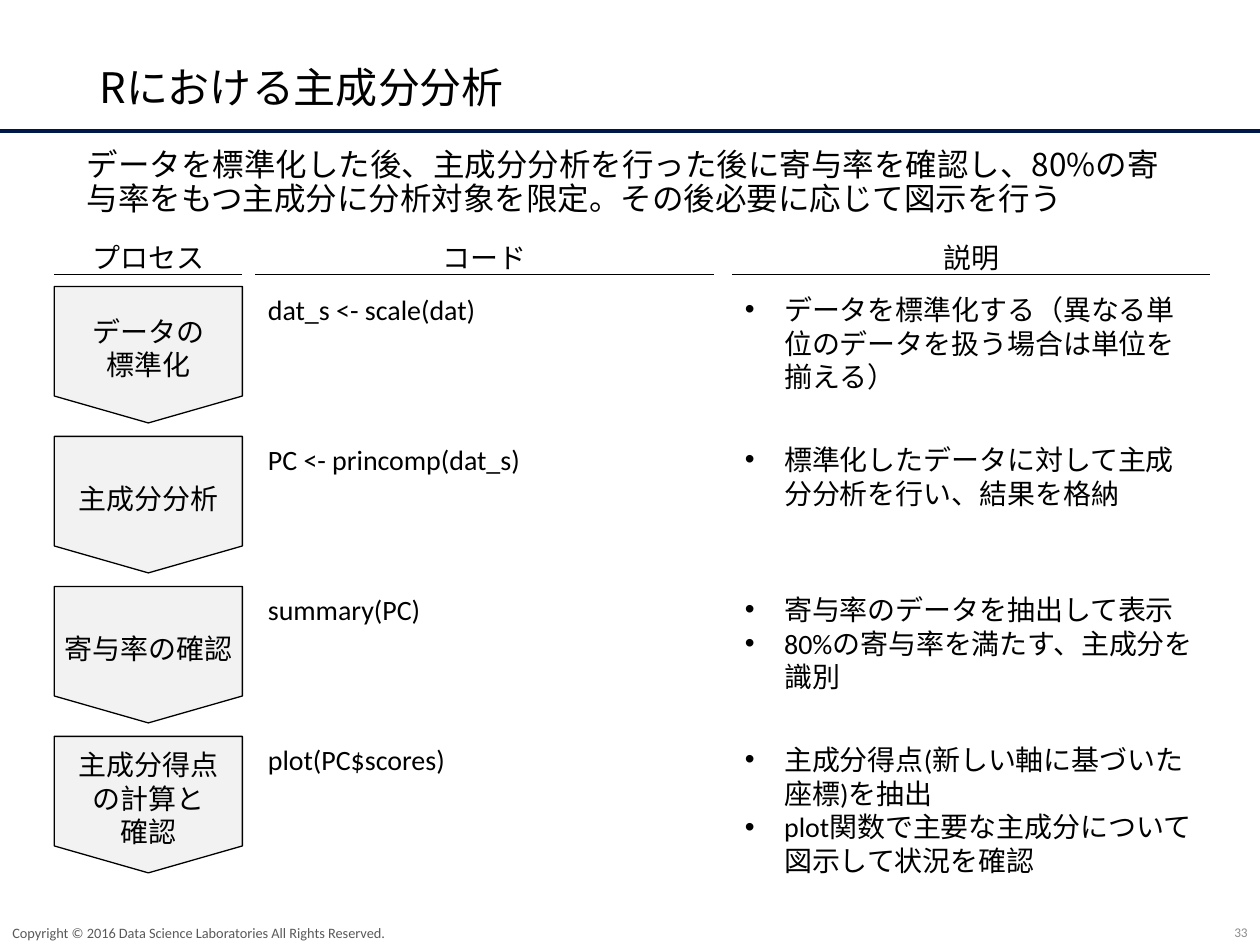
from pptx import Presentation
from pptx.dml.color import RGBColor
from pptx.enum.shapes import MSO_CONNECTOR, MSO_SHAPE
from pptx.enum.text import MSO_ANCHOR, PP_ALIGN
from pptx.oxml.ns import qn
from pptx.util import Pt
from lxml.etree import SubElement

COLOURS = {"text": "000000", "copyright": "595959", "number": "8C8C8C",
           "step": "F2F2F2", "bar": "44546A", "bar_edge": "001847"}
BODY_FONT, HEAD_FONT = "Calibri", "Noto Sans CJK JP"


def colour(name):
    return RGBColor.from_string(COLOURS[name])


class ProcessSlide:
    """Holds the text style and the slide being filled."""

    style = {"name": BODY_FONT, "size": Pt(16)}

    def __init__(self, deck):
        self.slide = deck.slides.add_slide(deck.slide_layouts[6])

    def fill_text(self, frame, paragraphs, tint="text", anchor=MSO_ANCHOR.TOP, wrap=True,
                  bullet=False, layout=None, **font):
        frame.word_wrap = wrap
        frame.vertical_anchor = anchor
        for index, words in enumerate(paragraphs):
            paragraph = frame.paragraphs[0] if index == 0 else frame.add_paragraph()
            paragraph.text = words
            if bullet:
                properties = paragraph._p.get_or_add_pPr()
                properties.set("marL", str(Pt(22.5)))
                properties.set("indent", str(Pt(-22.5)))
                SubElement(properties, qn("a:buFont")).set("typeface", "Arial")
                SubElement(properties, qn("a:buChar")).set("char", "•")
            for key, value in (layout or {}).items():
                setattr(paragraph, key, value)
            for run in paragraph.runs:
                for key, value in {**self.style, **font}.items():
                    setattr(run.font, key, value)
                run.font.color.rgb = colour(tint)
                # East Asian glyphs keep the line height of the body font
                SubElement(run.font._element, qn("a:ea")).set("typeface", BODY_FONT)

    def text(self, box, paragraphs, **options):
        label = self.slide.shapes.add_textbox(*map(Pt, box))
        self.fill_text(label.text_frame, paragraphs, **options)

    def shape(self, kind, box, fill, edge, weight):
        block = self.slide.shapes.add_shape(kind, *map(Pt, box))
        block.shadow.inherit = False
        block.fill.solid()
        block.fill.fore_color.rgb = colour(fill)
        block.line.color.rgb = colour(edge)
        block.line.width = Pt(weight)
        return block

    def step(self, left, top, width, height, words):
        """A pentagon turned to point down, with upright text."""
        shift = (width - height) / 2
        arrow = self.shape(MSO_SHAPE.PENTAGON, (left + shift, top - shift, height, width),
                           "step", "text", 0.75)
        arrow.rotation = 90
        arrow.adjustments[0] = 0.197
        self.fill_text(arrow.text_frame, [words], anchor=MSO_ANCHOR.MIDDLE, wrap=False,
                       layout={"alignment": PP_ALIGN.CENTER})
        arrow.text_frame._txBody.bodyPr.set("vert", "vert270")

    def rule(self, left, right, y):
        line = self.slide.shapes.add_connector(
            MSO_CONNECTOR.STRAIGHT, Pt(left), Pt(y), Pt(right), Pt(y))
        line.line.color.rgb = colour("text")
        line.line.width = Pt(0.5)
        SubElement(line._element.spPr, qn("a:effectLst"))


COLUMNS = [("プロセス", 31, 107.5), ("コード", 146, 262), ("説明", 418.5, 273)]
STEPS = [
    ("データの\n標準化", "dat_s <- scale(dat)",
     ["データを標準化する（異なる単位のデータを扱う場合は単位を揃える）"]),
    ("主成分分析", "PC <- princomp(dat_s)",
     ["標準化したデータに対して主成分分析を行い、結果を格納"]),
    ("寄与率の確認", "summary(PC)",
     ["寄与率のデータを抽出して表示", "80%の寄与率を満たす、主成分を識別"]),
    ("主成分得点\nの計算と\n確認", "plot(PC$scores)",
     ["主成分得点(新しい軸に基づいた座標)を抽出",
      "plot関数で主要な主成分について図示して状況を確認"]),
]
FIRST_TOP, PITCH, STEP_HEIGHT = 163.7, 85.7, 78


def main():
    deck = Presentation()
    deck.slide_width, deck.slide_height = Pt(720), Pt(540)
    page = ProcessSlide(deck)

    # Title, bar and summary
    page.shape(MSO_SHAPE.RECTANGLE, (0, 74.2, 720, 1.4), "bar", "bar_edge", 1)
    page.text((49.7, 28.8, 628.6, 45.4), ["Rにおける主成分分析"], anchor=MSO_ANCHOR.MIDDLE,
              layout={"line_spacing": 0.9}, name=HEAD_FONT, size=Pt(24))
    page.text((42.5, 82, 628.6, 54.7),
              ["データを標準化した後、主成分分析を行った後に寄与率を確認し、80%の"
               "寄与率をもつ主成分に分析対象を限定。その後必要に応じて図示を行う"],
              layout={"line_spacing": 0.9}, name=HEAD_FONT, size=Pt(18))

    # Column headings
    for heading, left, width in COLUMNS:
        page.rule(left, left + width, 157)
        page.text((left, 131, width, 31.7), [heading], anchor=MSO_ANCHOR.MIDDLE,
                  wrap=False, layout={"alignment": PP_ALIGN.CENTER})

    # One row per step
    (step_left, step_width), (code_left, code_width), (note_left, note_width) = [
        column[1:] for column in COLUMNS]
    for row, (name, code, notes) in enumerate(STEPS):
        top = FIRST_TOP + row * PITCH
        page.step(step_left, top, step_width, STEP_HEIGHT, name)
        page.text((code_left, top, code_width, STEP_HEIGHT), [code], wrap=False)
        page.text((note_left, top, note_width, STEP_HEIGHT), notes, bullet=True)

    # Footer
    page.text((0, 525.6, 449.3, 14.4),
              ["Copyright © 2016 Data Science Laboratories All Rights Reserved."],
              tint="copyright", anchor=MSO_ANCHOR.MIDDLE, size=Pt(8.2))
    page.text((558, 525, 162, 15), ["33"], tint="number", anchor=MSO_ANCHOR.MIDDLE,
              layout={"alignment": PP_ALIGN.RIGHT}, size=Pt(7.6))

    deck.save("out.pptx")


if __name__ == "__main__":
    main()
